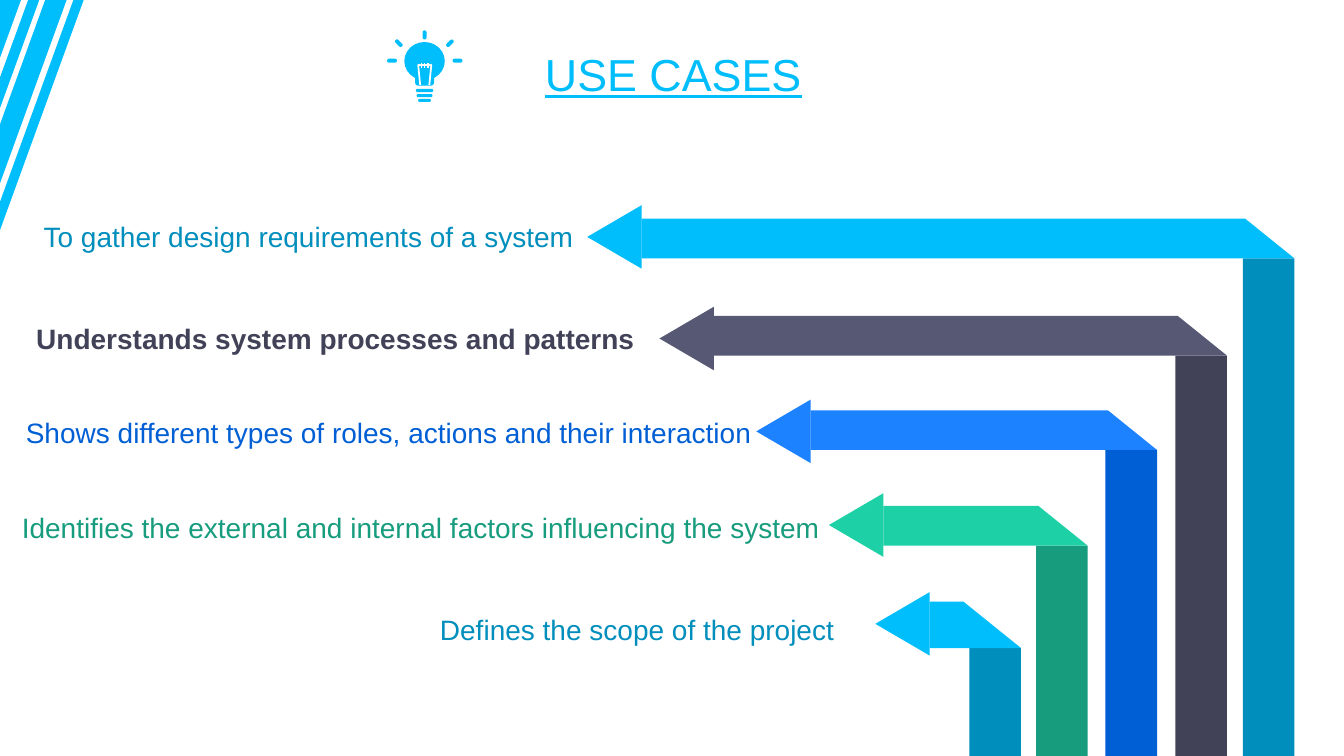
"""Build the use cases slide with five folded arrows and a light bulb."""
from pptx import Presentation
from pptx.dml.color import RGBColor
from pptx.enum.shapes import MSO_SHAPE
from pptx.enum.text import MSO_ANCHOR, PP_ALIGN
from pptx.util import Cm, Pt

CYAN = RGBColor(0x00, 0xBD, 0xFB)
DARK_CYAN = RGBColor(0x00, 0x8E, 0xBC)
SLATE = RGBColor(0x56, 0x58, 0x74)
DARK_SLATE = RGBColor(0x41, 0x42, 0x57)
BLUE = RGBColor(0x1C, 0x82, 0xFF)
DARK_BLUE = RGBColor(0x00, 0x5F, 0xD4)
GREEN = RGBColor(0x1E, 0xD0, 0xA6)
DARK_GREEN = RGBColor(0x17, 0x9C, 0x7D)
WHITE = RGBColor(0xFF, 0xFF, 0xFF)

SLIDE_HEIGHT = 19.05
STRIPE_SLOPE = 2.75
HEAD_LENGTH, HEAD_HEIGHT = 1.37, 1.6
COLUMN_WIDTH = 1.3
FOLD_SLOPE = 1.24

presentation = Presentation()
presentation.slide_width = Cm(33.87)
presentation.slide_height = Cm(SLIDE_HEIGHT)
slide = presentation.slides.add_slide(presentation.slide_layouts[6])
shapes = slide.shapes


def add_text(text, left, top, width, height, color, size=20, align=PP_ALIGN.RIGHT,
             anchor=MSO_ANCHOR.TOP, bold=False, underline=False, line_spacing=1.0):
    frame = shapes.add_textbox(Cm(left), Cm(top), Cm(width), Cm(height)).text_frame
    frame.word_wrap = True
    frame.vertical_anchor = anchor
    paragraph = frame.paragraphs[0]
    paragraph.alignment = align
    paragraph.line_spacing = line_spacing
    run = paragraph.add_run()
    run.text = text
    run.font.name = "Arial"
    run.font.size = Pt(size)
    run.font.bold = bold
    run.font.underline = underline
    run.font.color.rgb = color


def paint(shape, color):
    shape.shadow.inherit = False
    shape.fill.solid()
    shape.fill.fore_color.rgb = color
    shape.line.fill.background()


for start, end in [(0, 0.53), (0.71, 0.99), (1.14, 1.68), (1.85, 2.11)]:
    builder = shapes.build_freeform(Cm(start), 0)
    builder.add_line_segments([(Cm(end), 0), (0, Cm(end * STRIPE_SLOPE)),
                               (0, Cm(start * STRIPE_SLOPE))])
    paint(builder.convert_to_shape(), CYAN)

add_text("USE CASES", 0.89, 0.94, 32.16, 2.01, CYAN, size=32, align=PP_ALIGN.CENTER,
         anchor=MSO_ANCHOR.MIDDLE, underline=True, line_spacing=0.9)

use_cases = [
    ("To gather design requirements of a system", -1.04, 5.41, 15.75,
     14.8, 5.97, 5.51, 1, 31.32, CYAN, DARK_CYAN),
    ("Understands system processes and patterns", -0.74, 7.98, 16.99,
     16.62, 8.53, 7.96, 1, 29.62, SLATE, DARK_SLATE),
    ("Shows different types of roles, actions and their interaction", 0.3, 10.34, 18.9,
     19.06, 10.87, 10.34, 1, 27.86, BLUE, DARK_BLUE),
    ("Identifies the external and internal factors influencing the system", 0.3, 12.73, 20.73,
     20.89, 13.23, 12.75, 1, 26.11, GREEN, DARK_GREEN),
    ("Defines the scope of the project", 10.74, 15.32, 10.54,
     22.06, 15.72, 15.16, 1.17, 24.43, CYAN, DARK_CYAN),
]
for (text, text_left, text_top, text_width, tip, middle, bar_top, bar_height,
     column_left, bar_color, column_color) in use_cases:
    bar_left = tip + HEAD_LENGTH
    bar_right = column_left + COLUMN_WIDTH
    bar_bottom = bar_top + bar_height

    column = shapes.add_shape(MSO_SHAPE.RECTANGLE, Cm(column_left), Cm(bar_bottom),
                              Cm(COLUMN_WIDTH), Cm(SLIDE_HEIGHT - bar_bottom))
    paint(column, column_color)

    builder = shapes.build_freeform(Cm(bar_left), Cm(bar_top))
    builder.add_line_segments([
        (Cm(bar_right - FOLD_SLOPE * bar_height), Cm(bar_top)),
        (Cm(bar_right), Cm(bar_bottom)),
        (Cm(bar_left), Cm(bar_bottom)),
    ])
    paint(builder.convert_to_shape(), bar_color)

    head = shapes.add_shape(MSO_SHAPE.ISOSCELES_TRIANGLE,
                            Cm(tip + (HEAD_LENGTH - HEAD_HEIGHT) / 2),
                            Cm(middle - HEAD_LENGTH / 2), Cm(HEAD_HEIGHT), Cm(HEAD_LENGTH))
    head.rotation = 270
    paint(head, bar_color)

    align = PP_ALIGN.JUSTIFY if text.startswith("Identifies") else PP_ALIGN.RIGHT
    add_text(text, text_left, text_top, text_width, 1.12, column_color,
             align=align, bold=text.startswith("Understands"))

bulb_parts = [
    (MSO_SHAPE.OVAL, 10.7, 1.54, 1.02, 0.96, 0),
    (MSO_SHAPE.ROUNDED_RECTANGLE, 10.7, 1.95, 0.48, 0.42, 0),
    (MSO_SHAPE.ROUNDED_RECTANGLE, 10.7, 2.28, 0.44, 0.08, 0),
    (MSO_SHAPE.ROUNDED_RECTANGLE, 10.7, 2.41, 0.4, 0.08, 0),
    (MSO_SHAPE.ROUNDED_RECTANGLE, 10.7, 2.53, 0.32, 0.08, 0),
    (MSO_SHAPE.ROUNDED_RECTANGLE, 10.7, 0.88, 0.1, 0.23, 0),
    (MSO_SHAPE.ROUNDED_RECTANGLE, 9.88, 1.53, 0.25, 0.1, 0),
    (MSO_SHAPE.ROUNDED_RECTANGLE, 11.53, 1.53, 0.25, 0.1, 0),
    (MSO_SHAPE.ROUNDED_RECTANGLE, 10.05, 1.09, 0.23, 0.1, 45),
    (MSO_SHAPE.ROUNDED_RECTANGLE, 11.34, 1.09, 0.23, 0.1, 315),
]
for kind, center_x, center_y, width, height, rotation in bulb_parts:
    part = shapes.add_shape(kind, Cm(center_x - width / 2), Cm(center_y - height / 2),
                            Cm(width), Cm(height))
    part.rotation = rotation
    if kind == MSO_SHAPE.ROUNDED_RECTANGLE:
        part.adjustments[0] = 0.2 if height > 0.4 else 0.5
    paint(part, CYAN)

builder = shapes.build_freeform(Cm(10.59), Cm(2.14))
builder.add_line_segments([(Cm(10.54), Cm(1.64)), (Cm(10.87), Cm(1.64)),
                           (Cm(10.82), Cm(2.14))], close=False)
for prong in (10.62, 10.7, 10.79):
    builder.move_to(Cm(prong), Cm(1.6))
    builder.add_line_segments([(Cm(prong), Cm(1.71))], close=False)
filament = builder.convert_to_shape()
filament.shadow.inherit = False
filament.fill.background()
filament.line.color.rgb = WHITE
filament.line.width = Pt(1.25)

presentation.save("out.pptx")
